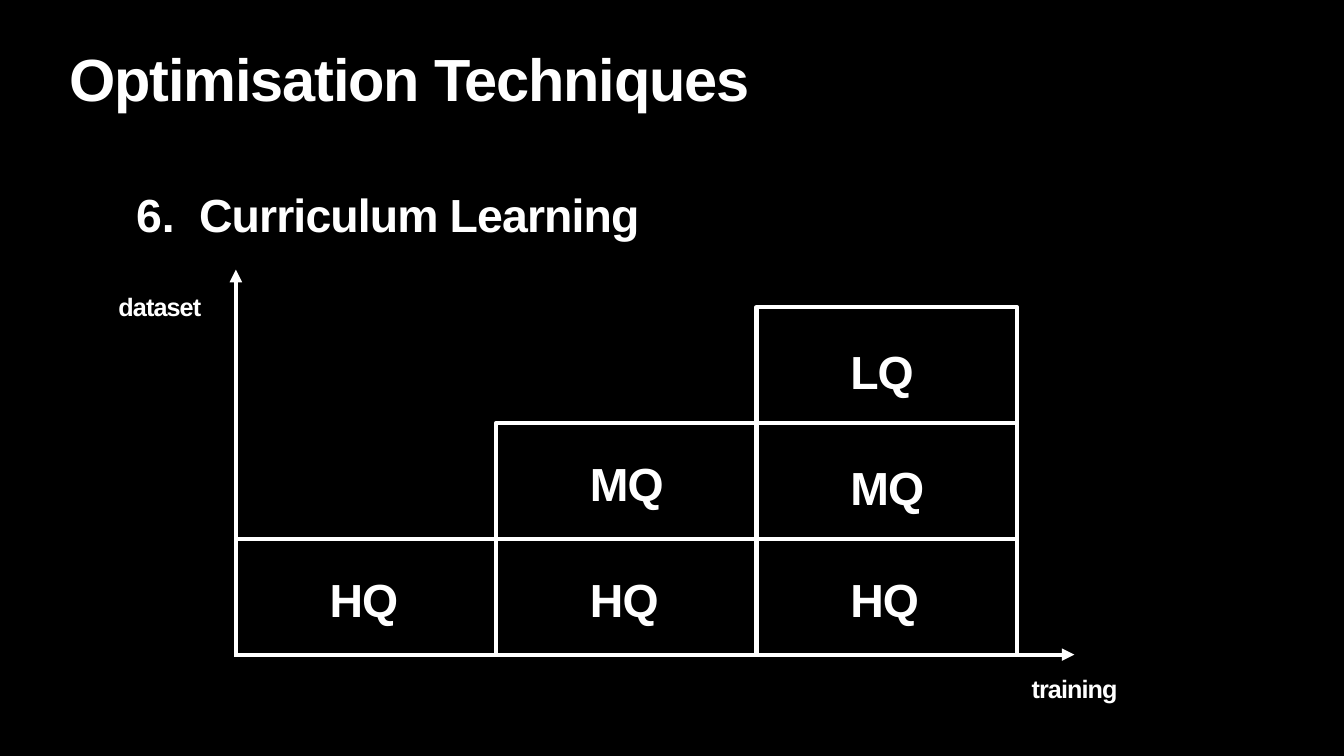
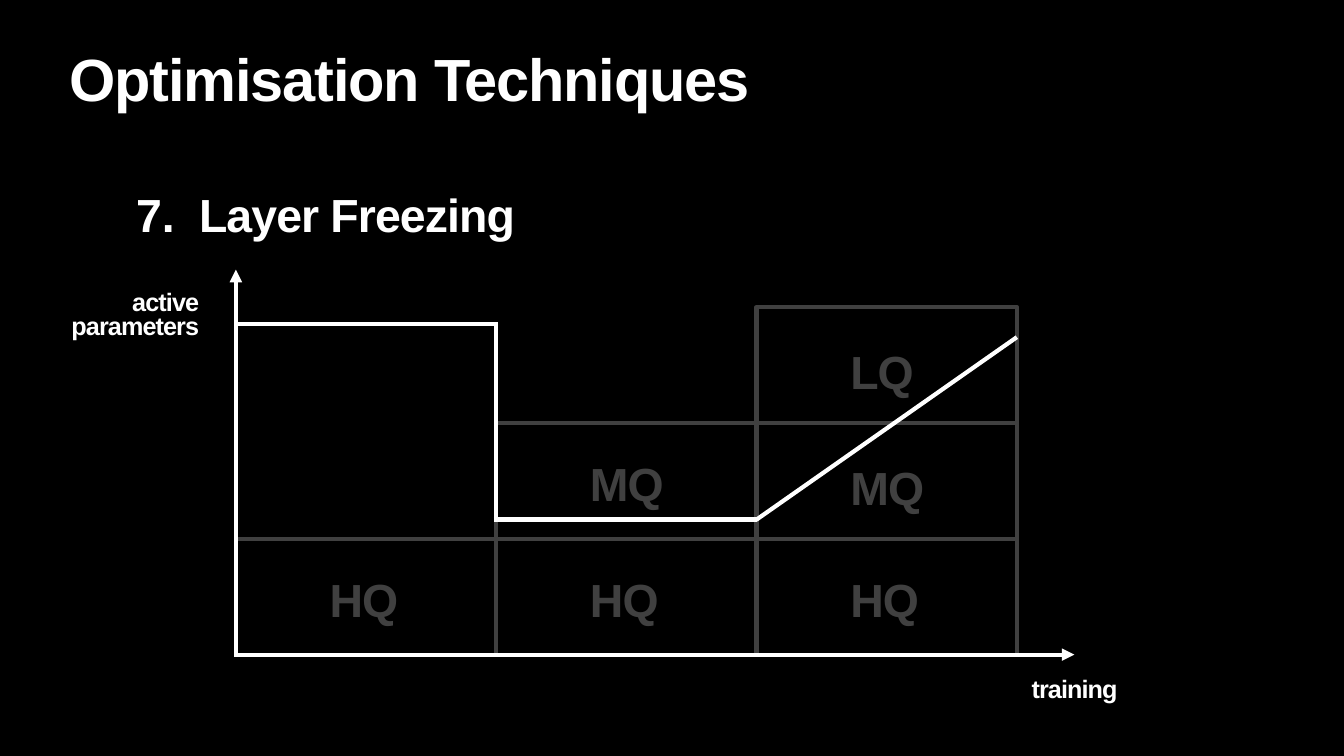
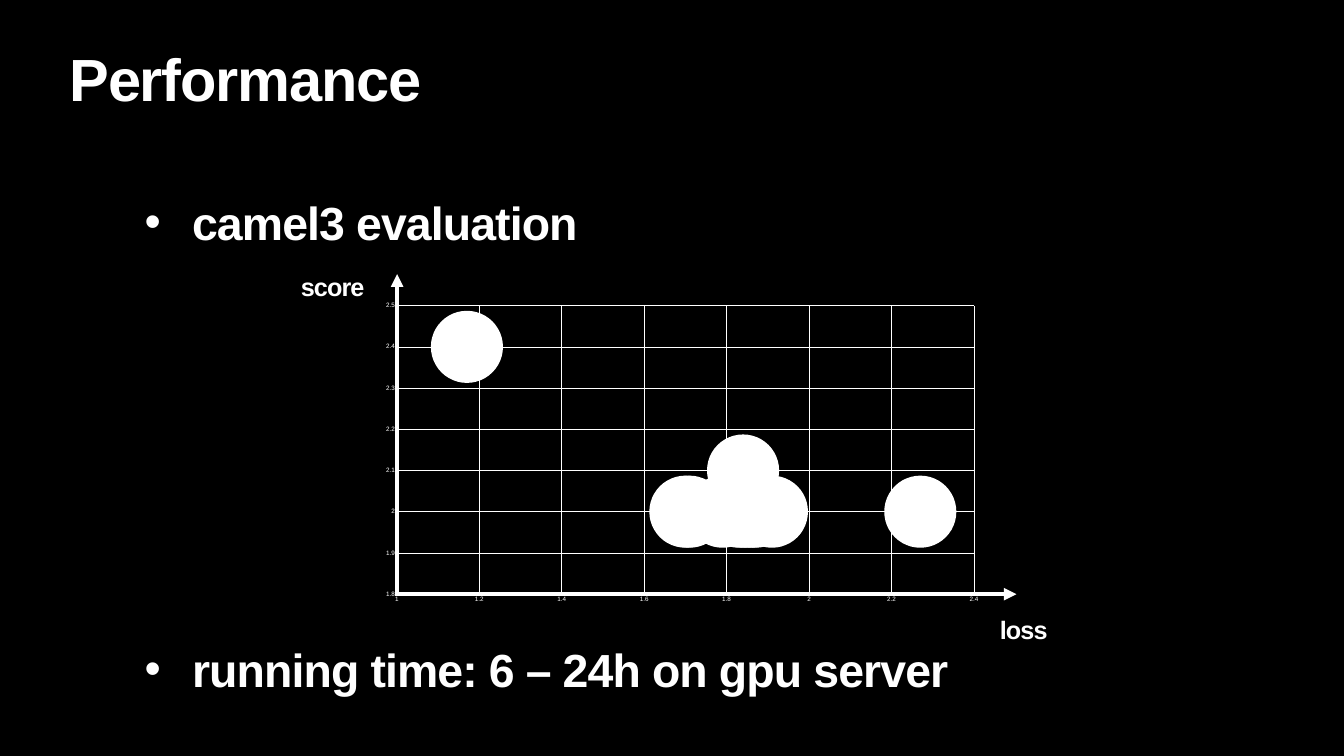
from lxml import etree
from pptx import Presentation
from pptx import util as u
from pptx.chart.data import BubbleChartData
from pptx.dml.color import RGBColor
from pptx.enum import chart as charts, shapes, text
from pptx.oxml.ns import qn

COLOURS = {"background": "000000", "ink": "FFFFFF", "faded": "404040"}
FONT = "Arial"
TITLE_SIZE, BODY_SIZE, AXIS_SIZE = 85, 66.3, 36
LINE_WIDTH = u.Pt(6)
LEFT, RIGHT = text.PP_ALIGN.LEFT, text.PP_ALIGN.RIGHT

presentation = Presentation()
presentation.slide_width = u.Inches(26.67)
presentation.slide_height = u.Inches(15)
master_fill = presentation.slide_master.background.fill
master_fill.solid()
master_fill.fore_color.rgb = RGBColor.from_string(COLOURS["background"])

# All places are percentages of the slide's width and height.
TITLE_BOX = (4.95, 6.93, 90.1, 10.47)
TRAINING_BOX = (76.53, 89.4, 7.69, 5.4)
ORIGIN_X, ORIGIN_Y = 17.55, 86.6
COLUMN, ROW = 19.37, 15.33
STAGES = [["HQ"], ["HQ", "MQ"], ["HQ", "MQ", "LQ"]]
edges = [ORIGIN_X + COLUMN * index for index in range(4)]


def emu(*shares):
    """Turn alternating width and height percentages into slide lengths."""
    sides = (presentation.slide_width, presentation.slide_height)
    return [int(share / 100 * sides[index % 2]) for index, share in enumerate(shares)]


def write(shape, box, content, size, colour="ink", align=LEFT):
    """Place a text shape, fill it and give it the deck's lettering."""
    shape.left, shape.top, shape.width, shape.height = emu(*box)
    frame = shape.text_frame
    frame.text = content
    frame.word_wrap = True
    frame.auto_size = text.MSO_AUTO_SIZE.NONE
    frame.vertical_anchor = text.MSO_ANCHOR.TOP
    frame.margin_left = frame.margin_right = u.Inches(0.06)
    frame.margin_top = frame.margin_bottom = u.Inches(0.06)
    for paragraph in frame.paragraphs:
        paragraph.alignment = align
        paragraph.line_spacing = 0.8
        paragraph.space_before = u.Pt(0)
        for run in paragraph.runs:
            run.font.name = FONT
            run.font.size = u.Pt(size)
            run.font.bold = True
            run.font.color.rgb = RGBColor.from_string(COLOURS[colour])
            run._r.get_or_add_rPr().set("spc", "-170" if size == TITLE_SIZE else "-130")


# Titles and lists: title, list box, list, first number (None for bullets), indent
outline = [
    ("Optimisation Techniques", (9.9, 25.6, 90.1, 81.47), "Curriculum Learning", 6, 1.25),
    ("Optimisation Techniques", (9.9, 25.6, 90.1, 81.47), "Layer Freezing", 7, 1.25),
    ("Performance", (10.54, 26.67, 90.1, 81.47),
     "camel3 evaluation\nrunning time: 6 – 24h on gpu server", None, 0.94),
]
for title, body_box, items, first_number, indent in outline:
    slide = presentation.slides.add_slide(presentation.slide_layouts[1])
    write(slide.shapes.title, TITLE_BOX, title, TITLE_SIZE)
    body = slide.placeholders[1]
    write(body, body_box, items, BODY_SIZE)
    for paragraph in body.text_frame.paragraphs[1:]:
        paragraph.space_before = u.Pt(575)
    for paragraph in body.text_frame.paragraphs:
        properties = paragraph._p.get_or_add_pPr()
        properties.set("marL", str(u.Inches(indent)))
        properties.set("indent", str(-u.Inches(indent)))
        etree.SubElement(properties, qn("a:buFont"), typeface=FONT)
        if first_number:
            etree.SubElement(properties, qn("a:buAutoNum"), type="arabicPeriod",
                             startAt=str(first_number))
        else:
            etree.SubElement(properties, qn("a:buChar"), char="•")
curriculum, freezing, performance = presentation.slides

# Data quality staircase
for slide, colour in ((curriculum, "ink"), (freezing, "faded")):
    for column, stage in enumerate(STAGES):
        for row, quality in enumerate(stage):
            left, top = edges[column], ORIGIN_Y - ROW * (row + 1)
            block = slide.shapes.add_shape(shapes.MSO_SHAPE.RECTANGLE,
                                           *emu(left, top, COLUMN, ROW))
            block.shadow.inherit = False
            block.fill.background()
            block.line.color.rgb = RGBColor.from_string(COLOURS[colour])
            block.line.width = LINE_WIDTH
            drop = 5.8 if column == 2 and row else 5.33
            write(slide.shapes.add_textbox(0, 0, 0, 0), (left + 6.75, top + drop, 9.26, 9.67),
                  quality, BODY_SIZE, colour)

# Evaluation bubbles
losses = [1.17, 1.7, 1.71, 1.79, 1.83, 1.84, 1.84, 1.84, 1.85, 1.85, 1.86, 1.87, 1.91, 2.27]
scores = [2.4] + [2] * 6 + [2.1] + [2] * 6
chart_data = BubbleChartData()
evaluation = chart_data.add_series("Series 1")
for loss, score in zip(losses, scores):
    evaluation.add_data_point(loss, score, 1)
chart = performance.shapes.add_chart(charts.XL_CHART_TYPE.BUBBLE,
                                     *emu(25.16, 31.33, 49.64, 52.93), chart_data).chart
chart.has_legend = chart.has_title = False
chart.font.name, chart.font.size = FONT, u.Pt(10)
chart.font.color.rgb = RGBColor.from_string(COLOURS["ink"])
bubbles = chart.plots[0].series[0].format
bubbles.fill.solid()
bubbles.fill.fore_color.rgb = RGBColor.from_string(COLOURS["ink"])
bubbles.line.fill.background()
for axis, low, high, step in ((chart.category_axis, 1, 2.4, 0.2),
                              (chart.value_axis, 1.8, 2.5, 0.1)):
    axis.minimum_scale, axis.maximum_scale, axis.major_unit = low, high, step
    axis.major_tick_mark = axis.minor_tick_mark = charts.XL_TICK_MARK.NONE
    axis.has_major_gridlines = True
    for line in (axis.format.line, axis.major_gridlines.format.line):
        line.color.rgb = RGBColor.from_string(COLOURS["ink"])
        line.width = u.Pt(0.75)
    labels = axis.tick_labels
    labels.number_format, labels.number_format_is_linked = "General", False
    labels.font.name, labels.font.size = FONT, u.Pt(9)
    labels.font.color.rgb = RGBColor.from_string(COLOURS["ink"])
plot_area = chart._chartSpace.chart.plotArea
for old_layout in plot_area.findall(qn("c:layout")):
    plot_area.remove(old_layout)
layout = etree.Element(qn("c:layout"))
manual = etree.SubElement(layout, qn("c:manualLayout"))
for tag, value in (("layoutTarget", "inner"), ("xMode", "edge"), ("yMode", "edge"),
                   ("x", 0.088), ("y", 0.172), ("w", 0.865), ("h", 0.721)):
    etree.SubElement(manual, qn("c:" + tag), val=str(value))
plot_area.insert(0, layout)

# Axis names
axis_names = [
    (curriculum, "training", TRAINING_BOX, LEFT),
    (curriculum, "dataset", (8.59, 38.87, 9, 9.13), LEFT),
    (freezing, "training", TRAINING_BOX, LEFT),
    (freezing, "active\nparameters", (2.44, 38.27, 12.6, 9.13), RIGHT),
    (performance, "loss", (74.17, 81.6, 7.69, 5.4), LEFT),
    (performance, "score", (14.74, 36.27, 12.6, 9.13), RIGHT),
]
for slide, name, box, align in axis_names:
    write(slide.shapes.add_textbox(0, 0, 0, 0), box, name, AXIS_SIZE, align=align)

# Axes with arrowheads, then the curve of active parameters
all_active, few_active, last_active = 42.87, 68.73, 44.6
strokes = []
for slide, x, y, right, top in ((curriculum, ORIGIN_X, ORIGIN_Y, 79.94, 35.67),
                                (freezing, ORIGIN_X, ORIGIN_Y, 79.94, 35.67),
                                (performance, 29.55, 78.6, 75.63, 36.27)):
    strokes += [(slide, (x, y + 0.27, x, top), True), (slide, (x, y, right, y), True)]
strokes += [
    (freezing, (edges[0], all_active, edges[1], all_active), False),
    (freezing, (edges[1], all_active - 0.27, edges[1], few_active + 0.14), False),
    (freezing, (edges[1] - 0.17, few_active, edges[2], few_active), False),
    (freezing, (edges[2], few_active, edges[3], last_active), False),
]
for slide, ends, has_arrow in strokes:
    connector = slide.shapes.add_connector(shapes.MSO_CONNECTOR.STRAIGHT, *emu(*ends))
    connector.line.color.rgb = RGBColor.from_string(COLOURS["ink"])
    connector.line.width = LINE_WIDTH
    if has_arrow:
        etree.SubElement(connector.line._get_or_add_ln(), qn("a:tailEnd"), type="triangle")
    etree.SubElement(connector._element.spPr, qn("a:effectLst"))

bend = freezing.shapes.add_shape(shapes.MSO_SHAPE.OVAL,
                                 *emu(edges[2] - 0.13, few_active - 0.2, 0.26, 0.47))
bend.shadow.inherit = False
bend.fill.solid()
bend.fill.fore_color.rgb = RGBColor.from_string(COLOURS["ink"])
bend.line.fill.background()

presentation.save("out.pptx")
